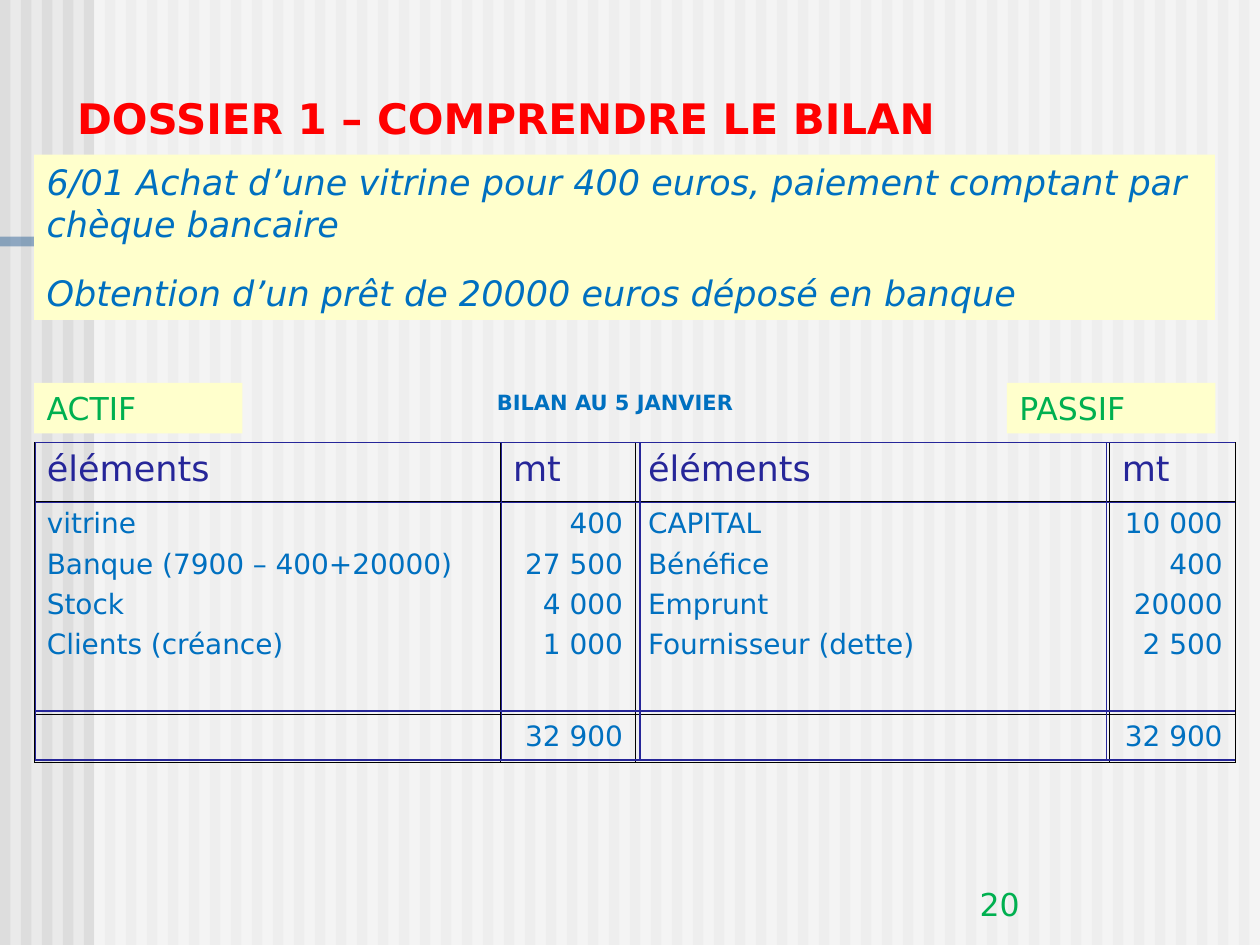
"""Build the slide on the balance sheet with its opening entries and table."""
from lxml import etree
from pptx import Presentation
from pptx.dml.color import RGBColor
from pptx.enum.shapes import MSO_CONNECTOR, MSO_SHAPE
from pptx.enum.text import MSO_ANCHOR, MSO_AUTO_SIZE, PP_ALIGN
from pptx.oxml.ns import qn
from pptx.util import Cm, Pt

RECT = MSO_SHAPE.RECTANGLE
STRAIGHT = MSO_CONNECTOR.STRAIGHT
LEFT, CENTER, RIGHT = PP_ALIGN.LEFT, PP_ALIGN.CENTER, PP_ALIGN.RIGHT
TOP, BOTTOM = MSO_ANCHOR.TOP, MSO_ANCHOR.BOTTOM
NO_FIT = MSO_AUTO_SIZE.NONE

FONT = "DejaVu Sans"
BACK = RGBColor(0xEA, 0xEA, 0xEA)
STRIPE = RGBColor(0xDD, 0xDD, 0xDD)
WHITE = RGBColor(0xFF, 0xFF, 0xFF)
STEEL = RGBColor(0x33, 0x66, 0x99)
RED = RGBColor(0xFF, 0x00, 0x00)
CREAM = RGBColor(0xFF, 0xFF, 0xCC)
GREEN = RGBColor(0x00, 0xB0, 0x50)
BLUE = RGBColor(0x00, 0x70, 0xC0)
NAVY = RGBColor(0x26, 0x26, 0x99)

HEADS = ["éléments", "mt", "éléments", "mt"]
ENTRIES = [
    ["vitrine", "Banque (7900 – 400+20000)", "Stock", "Clients (créance)"],
    ["400", "27 500", "4 000", "1 000"],
    ["CAPITAL", "Bénéfice", "Emprunt", "Fournisseur (dette)"],
    ["10 000", "400", "20000", "2 500"],
]
TOTALS = ["", "32 900", "", "32 900"]


def add_rect(shapes, x, y, w, h, color, alpha=None):
    sp = shapes.add_shape(RECT, Cm(x), Cm(y), Cm(w), Cm(h))
    sp.shadow.inherit = False
    sp.fill.solid()
    sp.fill.fore_color.rgb = color
    sp.line.fill.background()
    if alpha:
        clr = sp.element.spPr.find(".//" + qn("a:srgbClr"))
        etree.SubElement(clr, qn("a:alpha"), val=str(alpha * 1000))


def add_backdrop(slide, w, h):
    slide.background.fill.solid()
    slide.background.fill.fore_color.rgb = BACK
    shapes = slide.shapes.add_group_shape().shapes
    pitch = w / 60
    for i in range(60):
        add_rect(shapes, i * pitch, 0, pitch / 2, h, STRIPE)
    add_rect(shapes, 1.9, 0, w - 1.9, h, WHITE, 50)
    add_rect(shapes, 0, 4.77, 19.3, 0.2, STEEL, 50)


def write(tf, lines, size, color, align=LEFT, before=0, bold=False, italic=False):
    for i, line in enumerate(lines):
        p = tf.paragraphs[0] if i == 0 else tf.add_paragraph()
        p.alignment = align
        p.space_before = Pt(before)
        r = p.add_run()
        r.text = line
        r.font.name = FONT
        r.font.size = Pt(size)
        r.font.color.rgb = color
        r.font.bold = bold
        r.font.italic = italic


def add_title(slide, x, y, w, h, text):
    sp = slide.shapes.title
    sp.left, sp.top, sp.width, sp.height = Cm(x), Cm(y), Cm(w), Cm(h)
    sp.element.getparent().append(sp.element)
    tf = sp.text_frame
    tf.auto_size = NO_FIT
    tf.vertical_anchor = BOTTOM
    write(tf, [text], 24, RED, before=15, bold=True)


def add_text(slide, x, y, w, h, lines, size, color, fill=None, anchor=TOP, **style):
    sp = slide.shapes.add_textbox(Cm(x), Cm(y), Cm(w), Cm(h))
    if fill:
        sp.fill.solid()
        sp.fill.fore_color.rgb = fill
    tf = sp.text_frame
    tf.word_wrap = True
    tf.vertical_anchor = anchor
    write(tf, lines, size, color, **style)


def set_borders(cell, outer):
    cell.fill.background()
    tcPr = cell._tc.get_or_add_tcPr()
    for i, side in enumerate("LRTB"):
        width = Pt(0.23 if side in outer else 0.11)
        ln = etree.Element(qn("a:ln" + side), w=str(width))
        fill = etree.SubElement(ln, qn("a:solidFill"))
        etree.SubElement(fill, qn("a:srgbClr"), val="000000")
        tcPr.insert(i, ln)


def add_rule(slide, x1, y1, x2, y2):
    ln = slide.shapes.add_connector(STRAIGHT, Cm(x1), Cm(y1), Cm(x2), Cm(y2))
    ln.line.color.rgb = NAVY
    ln.line.width = Pt(0.75)
    etree.SubElement(ln.element.spPr, qn("a:effectLst"))


def add_balance(slide, x, y):
    cols, rows = [9.4, 2.72, 9.55, 2.54], [1.19, 4.29, 0.97]
    frame = slide.shapes.add_table(3, 4, Cm(x), Cm(y), Cm(sum(cols)), Cm(sum(rows)))
    tbl = frame.table
    tbl.first_row = tbl.horz_banding = False
    for col, w in zip(tbl.columns, cols):
        col.width = Cm(w)
    for row, h in zip(tbl.rows, rows):
        row.height = Cm(h)
    content = [[[head] for head in HEADS], ENTRIES, [[total] for total in TOTALS]]
    for i, row in enumerate(content):
        for j, lines in enumerate(row):
            cell = tbl.cell(i, j)
            edges = {"L": j == 0, "R": j == 3, "T": i == 0, "B": i == 2}
            set_borders(cell, [side for side, on in edges.items() if on])
            if lines == [""]:
                cell.margin_top = cell.margin_bottom = 0
            elif i == 0:
                write(cell.text_frame, lines, 20, NAVY, before=5)
            else:
                align = RIGHT if j % 2 else LEFT
                write(cell.text_frame, lines, 16, BLUE, align, before=4)
            for k, p in enumerate(cell.text_frame.paragraphs):
                p.line_spacing = 1.03 if k else 1.01
    right, bottom = x + 24.2, y + 6.4
    for dy in (0, 1.21, 5.41, 6.4):
        add_rule(slide, x + 0.02, y + dy, right, y + dy)
    for dx in (0.02, 9.42, 12.21, 21.61):
        add_rule(slide, x + dx, y, x + dx, bottom)


def build():
    prs = Presentation()
    prs.slide_width, prs.slide_height = Cm(25.4), Cm(19.05)
    slide = prs.slides.add_slide(prs.slide_layouts[5])
    add_backdrop(slide, 25.4, 19.05)
    add_title(slide, 1.3, 1.73, 22.68, 1.27, "DOSSIER 1 – COMPRENDRE LE BILAN")
    add_balance(slide, 0.69, 8.92)
    for x, side in ((20.3, "PASSIF"), (0.69, "ACTIF")):
        add_text(slide, x, 7.72, 4.2, 1.02, [side], 18, GREEN, CREAM, before=11.2)
    add_text(slide, 6.1, 7.72, 12.6, 0.79, ["BILAN AU 5 JANVIER"], 12, BLUE,
             align=CENTER, before=7.5, bold=True)
    events = ["6/01 Achat d’une vitrine pour 400 euros, paiement comptant par chèque bancaire",
              "Obtention d’un prêt de 20000 euros déposé en banque"]
    add_text(slide, 0.69, 3.12, 23.8, 3.33, events, 20, BLUE, CREAM, before=15, italic=True)
    add_text(slide, 19.5, 17.45, 5.28, 1.27, ["20"], 18, GREEN, anchor=BOTTOM)
    prs.save("out.pptx")


build()
